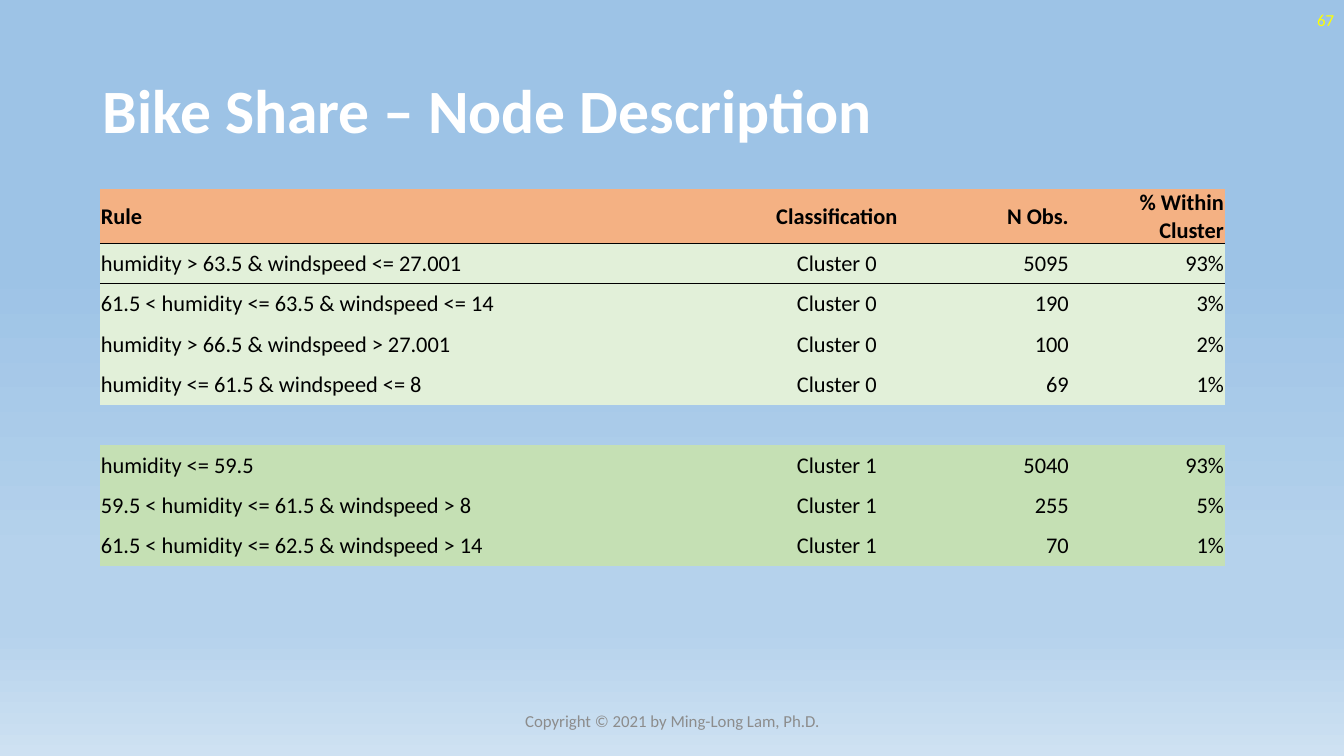
from lxml.etree import SubElement
from pptx import Presentation
from pptx.dml.color import RGBColor
from pptx.enum.text import MSO_ANCHOR as Anchor, PP_ALIGN as Align
from pptx.oxml.ns import qn
from pptx.util import Inches, Pt

COLORS = {
    "white": "FFFFFF", "black": "000000", "gray": "8C8C8C", "yellow": "FFFF00",
    "header": "F4B183", "cluster 0": "E2F0D9", "cluster 1": "C5E0B4",
}
BACKGROUND = [(35, "9DC3E6"), (74, "B5D2EC"), (83, "B5D2EC"), (100, "CEE1F2")]

TEXTS = [
    ("Bike Share – Node Description", (0.92, 0.4, 11.5, 1.45), Align.LEFT, 0.9,
     {"size": 44, "color": "white", "bold": True}),
    ("Copyright © 2021 by Ming-Long Lam, Ph.D.", (4.42, 6.95, 4.5, 0.4), Align.CENTER, 1.0,
     {"size": 12, "color": "gray"}),
    ("67", (10.33, 0, 3, 0.4), Align.RIGHT, 1.0,
     {"size": 12, "color": "yellow"}),
]

ROWS = [
    ("header", ("Rule", "Classification", "N Obs.", "% Within Cluster")),
    ("cluster 0", ("humidity > 63.5 & windspeed <= 27.001", "Cluster 0", "5095", "93%")),
    ("cluster 0", ("61.5 < humidity <= 63.5 & windspeed <= 14", "Cluster 0", "190", "3%")),
    ("cluster 0", ("humidity > 66.5 & windspeed > 27.001", "Cluster 0", "100", "2%")),
    ("cluster 0", ("humidity <= 61.5 & windspeed <= 8", "Cluster 0", "69", "1%")),
    (None, ("", "", "", "")),
    ("cluster 1", ("humidity <= 59.5", "Cluster 1", "5040", "93%")),
    ("cluster 1", ("59.5 < humidity <= 61.5 & windspeed > 8", "Cluster 1", "255", "5%")),
    ("cluster 1", ("61.5 < humidity <= 62.5 & windspeed > 14", "Cluster 1", "70", "1%")),
]
COLUMNS = [(6.54, Align.LEFT), (1.54, Align.CENTER), (1.54, Align.RIGHT), (1.54, Align.RIGHT)]
TABLE_LEFT, TABLE_TOP, ROW_HEIGHT = 0.99, 1.87, 0.4
NO_GRID_STYLE = "{2D5ABB26-0587-4C30-8999-92F81FD0307C}"
CELL_FORMAT = {
    "vertical_anchor": Anchor.MIDDLE, "margin_left": Inches(0.01),
    "margin_right": Inches(0.01), "margin_top": Inches(0.01), "margin_bottom": 0,
}


def set_all(target, values):
    for name, value in values.items():
        setattr(target, name, value)


def style_font(font, size, color, bold=False):
    set_all(font, {"name": "Calibri", "size": Pt(size), "bold": bold})
    font.color.rgb = RGBColor.from_string(COLORS[color])


def paint_background(s):
    s.background.fill.gradient()
    grad = s.element.find(".//" + qn("a:gradFill"))
    stops = grad.find(qn("a:gsLst"))
    for stop in list(stops):
        stops.remove(stop)
    for position, color in BACKGROUND:
        stop = SubElement(stops, qn("a:gs"), pos=str(position * 1000))
        SubElement(stop, qn("a:srgbClr"), val=color)
    grad.find(qn("a:lin")).set("ang", "5400000")


def add_text(s, text, box, align, spacing, font):
    tf = s.shapes.add_textbox(*map(Inches, box)).text_frame
    set_all(tf, {"word_wrap": True, "vertical_anchor": Anchor.MIDDLE})
    p = tf.paragraphs[0]
    set_all(p, {"alignment": align, "line_spacing": spacing})
    r = p.add_run()
    r.text = text
    style_font(r.font, **font)


def add_border(cell, side):
    line = SubElement(cell._tc.get_or_add_tcPr(), qn("a:" + side), w=str(Pt(0.5)))
    fill = SubElement(line, qn("a:solidFill"))
    SubElement(fill, qn("a:srgbClr"), val=COLORS["black"])


def fill_cell(cell, text, kind, align):
    set_all(cell, CELL_FORMAT)
    p = cell.text_frame.paragraphs[0]
    p.alignment = align
    if kind is None:
        p.font.size = Pt(16)
        cell.fill.background()
        return
    r = p.add_run()
    r.text = text
    style_font(r.font, 16, "black", kind == "header")
    if kind == "header":
        add_border(cell, "lnB")
    cell.fill.solid()
    cell.fill.fore_color.rgb = RGBColor.from_string(COLORS[kind])


def add_rules(s):
    width = sum(w for w, _ in COLUMNS)
    box = (TABLE_LEFT, TABLE_TOP, width, ROW_HEIGHT * len(ROWS))
    table = s.shapes.add_table(len(ROWS), len(COLUMNS), *map(Inches, box)).table
    set_all(table, {"first_row": False, "horz_banding": False})
    table._tbl.tblPr.find(qn("a:tableStyleId")).text = NO_GRID_STYLE
    for column, (w, _) in zip(table.columns, COLUMNS):
        column.width = Inches(w)
    for row, (kind, texts) in zip(table.rows, ROWS):
        row.height = Inches(ROW_HEIGHT)
        for cell, text, (_, align) in zip(row.cells, texts, COLUMNS):
            fill_cell(cell, text, kind, align)
    for cell in table.rows[1].cells:
        tcPr = cell._tc.get_or_add_tcPr()
        add_border(cell, "lnT")
        tcPr.insert(0, tcPr[-1])


def main():
    prs = Presentation()
    set_all(prs, {"slide_width": Inches(13.33), "slide_height": Inches(7.5)})
    s = prs.slides.add_slide(prs.slide_layouts[6])
    paint_background(s)
    title, *footers = TEXTS
    add_text(s, *title)
    add_rules(s)
    for footer in footers:
        add_text(s, *footer)
    prs.save("out.pptx")


if __name__ == "__main__":
    main()
